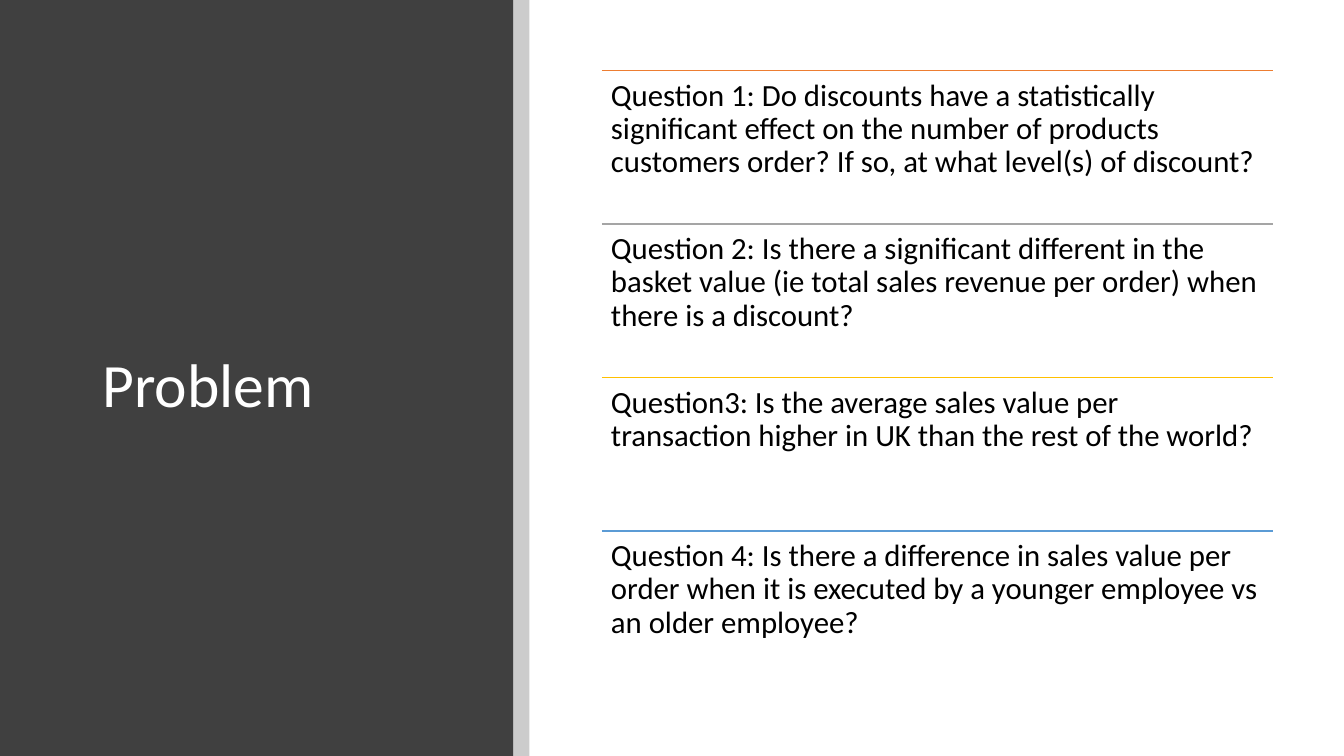
from lxml import etree
from pptx import Presentation
from pptx.dml.color import RGBColor
from pptx.enum.shapes import MSO_CONNECTOR, MSO_SHAPE
from pptx.enum.text import MSO_ANCHOR
from pptx.oxml.ns import qn
from pptx.util import Inches, Pt

RECT = MSO_SHAPE.RECTANGLE
LINE = MSO_CONNECTOR.STRAIGHT
TOP, MIDDLE = MSO_ANCHOR.TOP, MSO_ANCHOR.MIDDLE

BLACK = RGBColor(0x00, 0x00, 0x00)
WHITE = RGBColor(0xFF, 0xFF, 0xFF)
DARK = RGBColor(0x40, 0x40, 0x40)
ORANGE = RGBColor(0xED, 0x7D, 0x31)
GREY = RGBColor(0xA5, 0xA5, 0xA5)
GOLD = RGBColor(0xFF, 0xC0, 0x00)
BLUE = RGBColor(0x5B, 0x9B, 0xD5)

LEFT, WIDTH = 5.97, 6.66
START, STEP = 0.7, 1.523

QUESTIONS = [
    (ORANGE, "Question 1: Do discounts have a statistically significant effect on "
             "the number of products customers order? If so, at what level(s) of discount?"),
    (GREY, "Question 2: Is there a significant different in the basket value "
           "(ie total sales revenue per order) when there is a discount?"),
    (GOLD, "Question3: Is the average sales value per transaction higher in UK "
           "than the rest of the world?"),
    (BLUE, "Question 4: Is there a difference in sales value per order when it is "
           "executed by a younger employee vs an older employee?"),
]

deck = Presentation()
deck.slide_width = Inches(13.33)
deck.slide_height = Inches(7.5)
slide = deck.slides.add_slide(deck.slide_layouts[6])


def add_panel(left, width, color):
    panel = slide.shapes.add_shape(RECT, Inches(left), 0, Inches(width), Inches(7.5))
    panel.shadow.inherit = False
    panel.fill.solid()
    panel.fill.fore_color.rgb = color
    panel.line.fill.background()
    return panel


def add_text(box, text, size, color, anchor):
    area = slide.shapes.add_textbox(*[Inches(n) for n in box])
    frame = area.text_frame
    frame.word_wrap = True
    frame.vertical_anchor = anchor
    frame.text = text
    para = frame.paragraphs[0]
    para.line_spacing = 0.9
    font = para.runs[0].font
    font.name = "Calibri"
    font.size = Pt(size)
    font.color.rgb = color
    return frame


add_panel(0, 5.09, DARK)
add_text((0.92, 0.89, 3.65, 5.91), "Problem", 44, WHITE, MIDDLE)

strip = add_panel(5.09, 0.16, BLACK)
tint = strip.fill._xPr.find(qn("a:solidFill"))[0]
etree.SubElement(tint, qn("a:alpha")).set("val", "20000")

for row, (color, text) in enumerate(QUESTIONS):
    top = START + row * STEP
    rule = slide.shapes.add_connector(
        LINE, Inches(LEFT), Inches(top), Inches(LEFT + WIDTH), Inches(top))
    rule.line.color.rgb = color
    rule.line.width = Pt(1)
    etree.SubElement(rule._element.spPr, qn("a:effectLst"))

    frame = add_text((LEFT, top, WIDTH, STEP), text, 22, BLACK, TOP)
    frame.margin_left = frame.margin_right = Inches(0.09)
    frame.margin_top = frame.margin_bottom = Inches(0.09)

deck.save("out.pptx")
